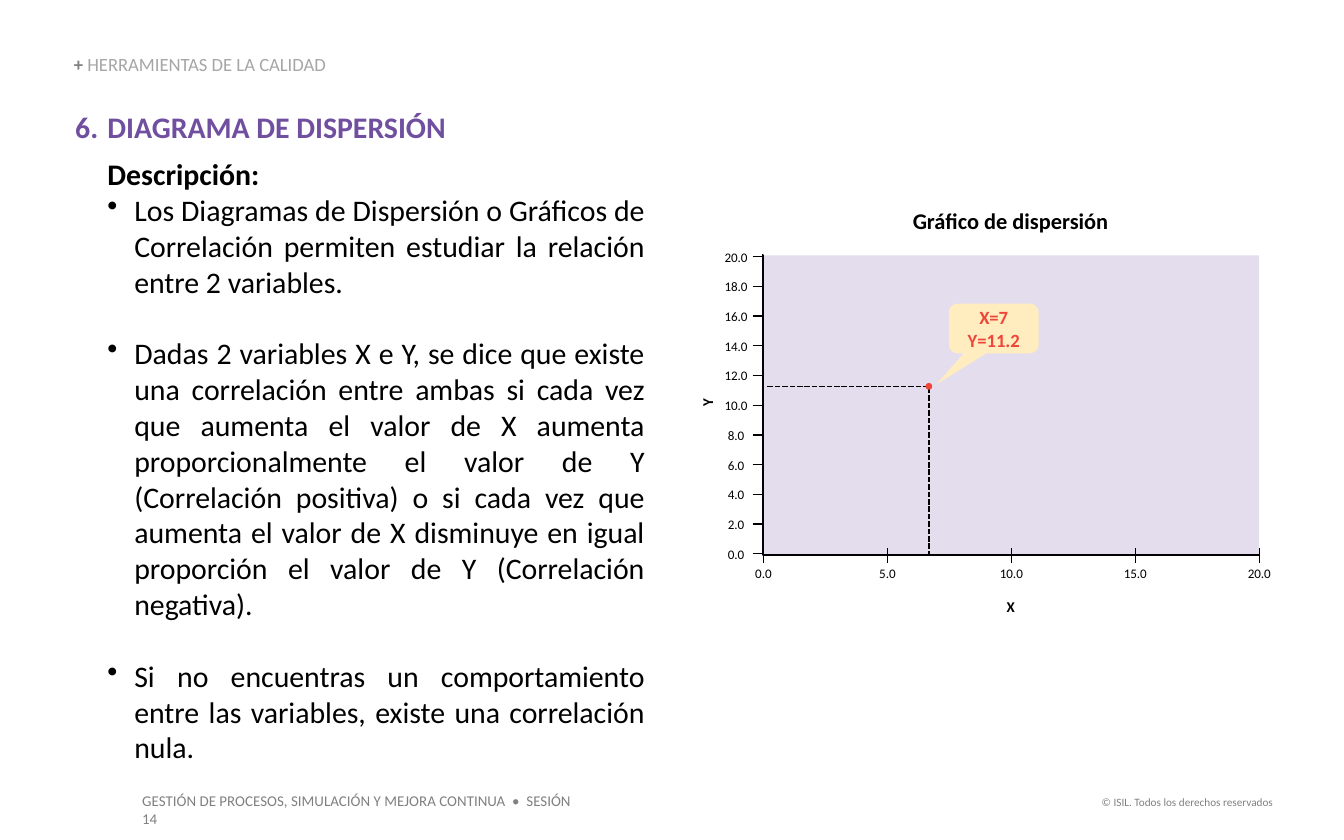
import dataclasses

import lxml.etree
import pptx
import pptx.dml.color
import pptx.enum.dml
import pptx.enum.shapes
import pptx.enum.text
import pptx.oxml.ns
import pptx.util

Pt = pptx.util.Pt
ALIGN = pptx.enum.text.PP_ALIGN
ANCHOR = pptx.enum.text.MSO_ANCHOR
SHAPE = pptx.enum.shapes.MSO_SHAPE
DASH = pptx.enum.dml.MSO_LINE


@dataclasses.dataclass(frozen=True)
class Theme:
    font: str = "Calibri"
    black: str = "000000"
    gray: str = "808080"
    light_gray: str = "A6A6A6"
    purple: str = "714FA0"
    plot: str = "E4DDED"
    red: str = "EE4639"
    cream: str = "FFEDBF"
    body: float = 16
    heading: float = 12
    small: float = 10
    footer: float = 8
    tick: float = 7
    legal: float = 6


THEME = Theme()
INSETS = ("margin_left", "margin_top", "margin_right", "margin_bottom")


def color(value):
    return pptx.dml.color.RGBColor.from_string(value)


def set_values(target, values):
    for name, value in values.items():
        setattr(target, name, value)


def format_frame(frame, insets=(0, 0, 0, 0), anchor=ANCHOR.TOP):
    values = {"word_wrap": True, "vertical_anchor": anchor,
              "auto_size": pptx.enum.text.MSO_AUTO_SIZE.NONE}
    values.update(zip(INSETS, map(Pt, insets)))
    set_values(frame, values)


def add_run(paragraph, text, size, ink, bold=False):
    run = paragraph.add_run()
    run.text = text
    set_values(run.font, {"name": THEME.font, "size": Pt(size), "bold": bold})
    run.font.color.rgb = color(ink)


def add_label(slide, box, text, size, ink=THEME.black, bold=False,
              align=ALIGN.CENTER, insets=(0, 0, 0, 0), rotation=0):
    shape = slide.shapes.add_textbox(*map(Pt, box))
    shape.rotation = rotation
    format_frame(shape.text_frame, insets)
    paragraph = shape.text_frame.paragraphs[0]
    paragraph.alignment = align
    add_run(paragraph, text, size, ink, bold)


def add_filled(slide, kind, box, fill):
    shape = slide.shapes.add_shape(kind, *map(Pt, box))
    shape.shadow.inherit = False
    shape.fill.solid()
    shape.fill.fore_color.rgb = color(fill)
    shape.line.fill.background()
    return shape


def add_tick(slide, start, end):
    line = slide.shapes.add_connector(
        pptx.enum.shapes.MSO_CONNECTOR.STRAIGHT, *map(Pt, start + end))
    line.line.color.rgb = color(THEME.black)
    line.line.width = Pt(0.75)
    properties = line._element.spPr
    lxml.etree.SubElement(properties, pptx.oxml.ns.qn("a:effectLst"))


def add_polyline(slide, points, dash=None):
    first, *rest = [(Pt(x), Pt(y)) for x, y in points]
    builder = slide.shapes.build_freeform(*first)
    builder.add_line_segments(rest, close=False)
    shape = builder.convert_to_shape()
    shape.shadow.inherit = False
    shape.fill.background()
    shape.line.color.rgb = color(THEME.black)
    set_values(shape.line, {"width": Pt(1), "dash_style": dash})


def format_list_item(paragraph, margin, indent, marker=None, attributes=None):
    properties = paragraph._p.get_or_add_pPr()
    properties.set("marL", str(Pt(margin)))
    properties.set("indent", str(Pt(indent)))
    if marker:
        lxml.etree.SubElement(properties, pptx.oxml.ns.qn(marker), attributes)


def add_header(slide):
    title = slide.shapes.title
    set_values(title, {"left": Pt(39.6), "top": Pt(29.5),
                       "width": Pt(191.5), "height": Pt(10.8)})
    format_frame(title.text_frame, anchor=ANCHOR.BOTTOM)
    paragraph = title.text_frame.paragraphs[0]
    set_values(paragraph, {"alignment": ALIGN.LEFT, "line_spacing": 0.9})
    add_run(paragraph, "+ ", THEME.small, THEME.gray, True)
    add_run(paragraph, "HERRAMIENTAS DE LA CALIDAD", THEME.small, THEME.light_gray)


def add_description(slide):
    box = slide.shapes.add_textbox(Pt(40.3), Pt(58.3), Pt(305.3), Pt(358.6))
    frame = box.text_frame
    format_frame(frame, (0, 0, 0, 3.6))

    heading = frame.paragraphs[0]
    format_list_item(heading, 17.3, -17.3, "a:buAutoNum",
                     {"type": "arabicPeriod", "startAt": "6"})
    heading.space_after = Pt(6)
    add_run(heading, "DIAGRAMA DE DISPERSIÓN", THEME.body, THEME.purple, True)

    subheading = frame.add_paragraph()
    format_list_item(subheading, 17.3, 0)
    add_run(subheading, "Descripción:", THEME.body, THEME.black, True)

    bullets = (
        "Los Diagramas de Dispersión o Gráficos de Correlación permiten "
        "estudiar la relación entre 2 variables.",
        "Dadas 2 variables X e Y, se dice que existe una correlación entre "
        "ambas si cada vez que aumenta el valor de X aumenta "
        "proporcionalmente el valor de Y (Correlación positiva) o si cada vez "
        "que aumenta el valor de X disminuye en igual proporción el valor de Y "
        "(Correlación negativa).",
        "Si no encuentras un comportamiento entre las variables, existe una "
        "correlación nula.",
    )
    for index, text in enumerate(bullets):
        paragraph = frame.add_paragraph()
        format_list_item(paragraph, 31.7, -14.4, "a:buChar", {"char": "•"})
        set_values(paragraph, {"alignment": ALIGN.JUSTIFY,
                               "space_before": Pt(19.2 if index else 0)})
        add_run(paragraph, text, THEME.body, THEME.black)


def add_scatter_diagram(slide):
    left, top, width, height = plot = (408.2, 136.8, 266.4, 160.6)
    right, bottom = left + width, top + height
    add_label(slide, (468.7, 110.9, 145.4, 14.4), "Gráfico de dispersión",
              THEME.heading, bold=True)
    add_filled(slide, SHAPE.RECTANGLE, plot, THEME.plot)

    # Axes, ticks and tick labels
    add_polyline(slide, [(left, top), (left + 0.6, top),
                         (left + 0.6, bottom), (right, bottom)])
    for index in range(5):
        x = 409 + 66.4 * index
        add_tick(slide, (x, 293.8), (x, 301.7))
        add_label(slide, (x - 10.1, 303.1, 20.2, 8.6), f"{5 * index:.1f}", THEME.tick)
    for index in range(11):
        y = 296.7 - 15.92 * index
        add_tick(slide, (403.2, y), (left, y))
        add_label(slide, (384.2, y - 4.1, 20.2, 8.6), f"{2 * index:.1f}", THEME.tick)
    add_label(slide, (531.4, 320.4, 20.2, 9.4), "X", THEME.footer, bold=True)
    add_label(slide, (368.6, 211, 20.2, 9.4), "Y", THEME.footer, bold=True,
              rotation=270)

    # Marked point with guide lines and callout
    x, y = 497.6, 207
    add_polyline(slide, [(411.1, y), (x, y), (x, bottom)], DASH.SQUARE_DOT)
    add_filled(slide, SHAPE.OVAL, (x - 1.8, y - 1.8, 3.6, 3.6), THEME.red)
    callout = add_filled(slide, SHAPE.ROUNDED_RECTANGULAR_CALLOUT,
                         (508.3, 162.7, 48.2, 26.6), THEME.cream)
    for index, value in enumerate((-0.64, 1.13, 0.17)):
        callout.adjustments[index] = value
    frame = callout.text_frame
    format_frame(frame, (7.2, 3.6, 7.2, 3.6), ANCHOR.MIDDLE)
    for paragraph, text in ((frame.paragraphs[0], "X=7"),
                            (frame.add_paragraph(), "Y=11.2")):
        paragraph.alignment = ALIGN.CENTER
        add_run(paragraph, text, THEME.small, THEME.red, True)


def add_footer(slide):
    insets = (7.2, 3.6, 7.2, 3.6)
    add_label(slide, (581, 422.6, 108, 14.4),
              "© ISIL. Todos los derechos reservados", THEME.legal, THEME.gray,
              align=ALIGN.RIGHT, insets=insets)
    add_label(slide, (69.1, 420.5, 254.2, 17.3),
              "GESTIÓN DE PROCESOS, SIMULACIÓN Y MEJORA CONTINUA  •  SESIÓN 14",
              THEME.footer, THEME.gray, align=ALIGN.LEFT, insets=insets)


def main():
    presentation = pptx.Presentation()
    set_values(presentation, {"slide_width": Pt(720), "slide_height": Pt(450)})
    slide = presentation.slides.add_slide(presentation.slide_layouts[5])
    add_footer(slide)
    add_header(slide)
    add_description(slide)
    add_scatter_diagram(slide)
    presentation.save("out.pptx")


if __name__ == "__main__":
    main()
